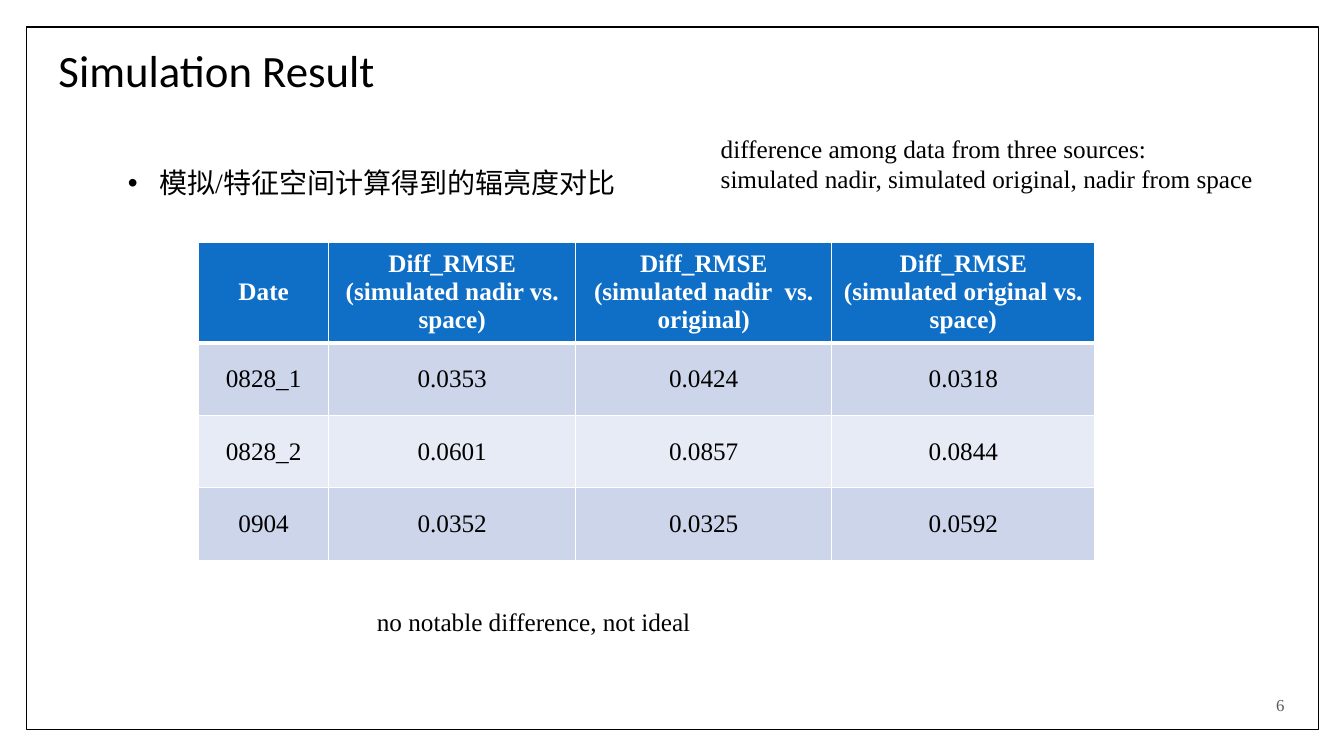
from pptx import Presentation
from pptx.dml.color import RGBColor
from pptx.enum.shapes import MSO_SHAPE as Shape
from pptx.enum.text import MSO_ANCHOR as Anchor, MSO_AUTO_SIZE as Fit, PP_ALIGN as Align
from pptx.oxml.ns import qn
from pptx.util import Pt
from lxml.etree import SubElement

PX = 9144  # 100 px to the inch
SERIF = "Times New Roman"
HEADS = ["Date",
         "Diff_RMSE\v(simulated nadir vs. space)",
         "Diff_RMSE\v(simulated nadir  vs. original)",
         "Diff_RMSE\v(simulated original vs. space)"]
ROWS = [["0828_1", "0.0353", "0.0424", "0.0318"],
        ["0828_2", "0.0601", "0.0857", "0.0844"],
        ["0904", "0.0352", "0.0325", "0.0592"]]
COLS = [129, 245, 254, 261]
HEAD_H, ROW_H = 100, 72


def px(*vals):
    return [v * PX for v in vals]


def color(code):
    return RGBColor.from_string(code)


def style(para, size, code="000000", font=SERIF, bold=False, align=None):
    para.font.size, para.font.name, para.font.bold = Pt(size), font, bold
    para.font.color.rgb = color(code)
    para.alignment = align


# Frame behind everything
def frame(slide, box):
    rect = slide.shapes.add_shape(Shape.RECTANGLE, *px(*box))
    rect.shadow.inherit = False
    rect.fill.solid()
    rect.fill.fore_color.rgb = color("FFFFFF")
    rect.line.color.rgb = color("000000")
    rect.line.width = Pt(1)
    rect.element.getparent().insert(2, rect.element)


# Title placeholder
def title(slide, box, text):
    head = slide.shapes.title
    head.left, head.top, head.width, head.height = px(*box)
    body = head.text_frame
    body.text = text
    body.vertical_anchor = Anchor.MIDDLE
    body.auto_size = Fit.SHAPE_TO_FIT_TEXT
    para = body.paragraphs[0]
    style(para, 32, font="Calibri", align=Align.LEFT)
    para.line_spacing = 0.9


# Text boxes
def note(slide, box, text, size=18, code="000000", align=None):
    body = slide.shapes.add_textbox(*px(*box)).text_frame
    body.word_wrap = True
    body.text = text
    for para in body.paragraphs:
        style(para, size, code, align=align)
    return body


def bullet(slide, box, text):
    body = note(slide, box, text, 20)
    para = body.paragraphs[0]
    para.line_spacing = 1.5
    props = para._p.get_or_add_pPr()
    props.set("marL", str(31 * PX))
    props.set("indent", str(-31 * PX))
    SubElement(props, qn("a:buFont"), typeface="Arial")
    SubElement(props, qn("a:buChar"), char="•")


# Table of differences
def edge(cell, side, width):
    line = SubElement(cell._tc.get_or_add_tcPr(), qn("a:ln" + side), w=str(Pt(width)))
    fill = SubElement(line, qn("a:solidFill"))
    SubElement(fill, qn("a:srgbClr"), val="FFFFFF")


def grid(slide, left, top):
    data = [HEADS] + ROWS
    size = px(left, top, sum(COLS), HEAD_H + ROW_H * len(ROWS))
    table = slide.shapes.add_table(len(data), len(COLS), *size).table
    for col, width in zip(table.columns, COLS):
        col.width = width * PX
    for r, texts in enumerate(data):
        is_head = r == 0
        table.rows[r].height = (HEAD_H if is_head else ROW_H) * PX
        back = "0F6FC6" if is_head else ("CCD5EA" if r % 2 else "E7EBF5")
        for c, text in enumerate(texts):
            cell = table.cell(r, c)
            edges = {"L": 1, "R": 1, "T": 3 if r == 1 else 1, "B": 3 if is_head else 1}
            for side, width in edges.items():
                edge(cell, side, width)
            cell.fill.solid()
            cell.fill.fore_color.rgb = color(back)
            cell.vertical_anchor = Anchor.MIDDLE
            cell.text = text
            style(cell.text_frame.paragraphs[0], 18, "FFFFFF" if is_head else "000000",
                  bold=is_head, align=Align.CENTER)


def main():
    deck = Presentation()
    deck.slide_width, deck.slide_height = px(1333, 750)
    slide = deck.slides.add_slide(deck.slide_layouts[5])
    frame(slide, (26, 27, 1282, 697))
    title(slide, (48, 43, 494, 59), "Simulation Result")
    number = note(slide, (1051, 679, 233, 40), "6", 12, "595959", Align.RIGHT)
    number.vertical_anchor = Anchor.MIDDLE
    bullet(slide, (117, 143, 934, 55), "模拟/特征空间计算得到的辐亮度对比")
    grid(slide, 197, 240)
    note(slide, (705, 127, 554, 71),
         "difference among data from three sources:\n"
         "simulated nadir, simulated original, nadir from space")
    note(slide, (364, 597, 554, 40), "no notable difference, not ideal")
    deck.save("out.pptx")


if __name__ == "__main__":
    main()
